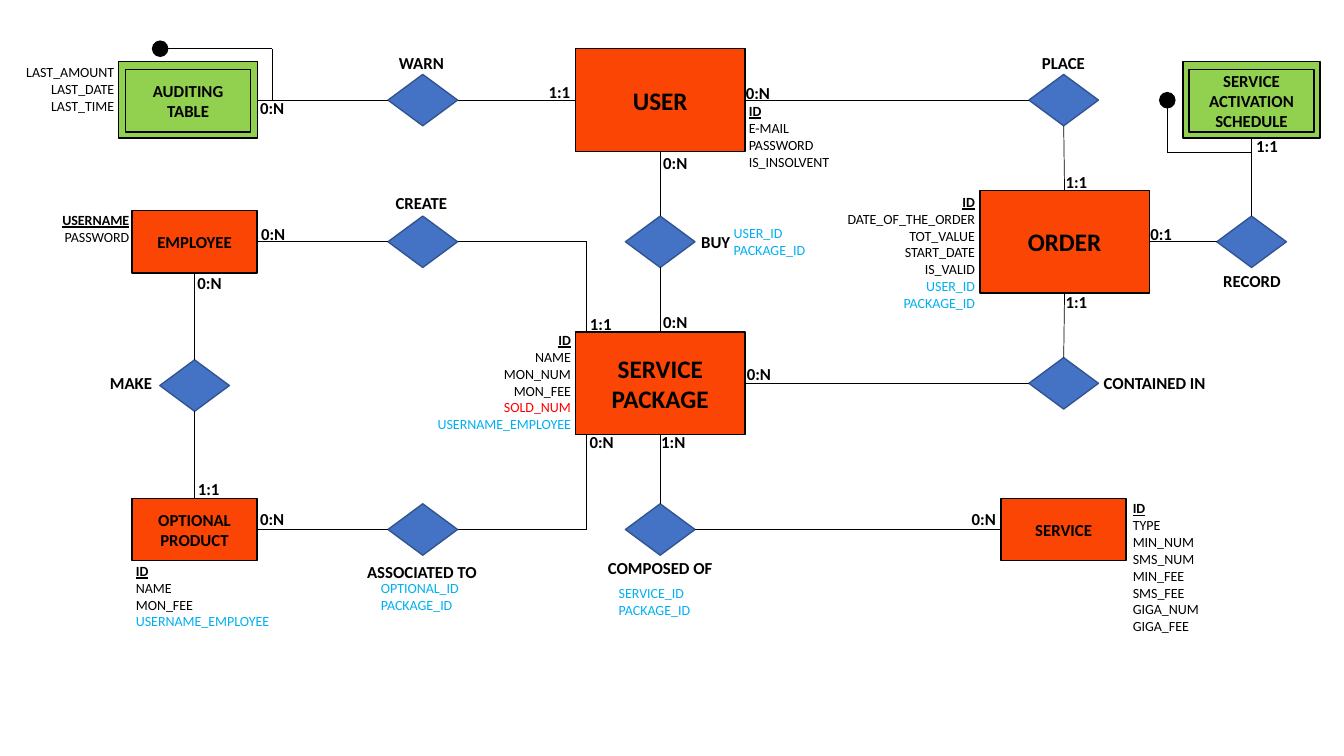
from lxml.etree import SubElement
from pptx import Presentation
from pptx.dml.color import RGBColor
from pptx.enum.shapes import MSO_CONNECTOR, MSO_SHAPE
from pptx.enum.text import MSO_ANCHOR, PP_ALIGN
from pptx.oxml.ns import qn
from pptx.util import Pt

BLACK = RGBColor(0x00, 0x00, 0x00)
ORANGE = RGBColor(0xFB, 0x45, 0x05)
GREEN = RGBColor(0x92, 0xD0, 0x50)
BLUE = RGBColor(0x44, 0x72, 0xC4)
NAVY = RGBColor(0x32, 0x54, 0x91)
CYAN = RGBColor(0x00, 0xB0, 0xF0)
RED = RGBColor(0xFF, 0x00, 0x00)

LEFT, MID, RIGHT = PP_ALIGN.LEFT, PP_ALIGN.CENTER, PP_ALIGN.RIGHT
TOP, WEST, BASE, EAST = range(4)

KEYS = {"ID", "USERNAME"}
TINTS = dict.fromkeys(
    ["USER_ID", "PACKAGE_ID", "OPTIONAL_ID", "SERVICE_ID", "USERNAME_EMPLOYEE"], CYAN)
TINTS["SOLD_NUM"] = RED

BIG, SMALL, GEM = (121, 73.5), (89.3, 44.6), (49.7, 36.7)

# Centres of the columns and rows of the diagram
COL_A, COL_B, COL_C, COL_D, COL_E = 139, 302, 471.6, 759.8, 894
ROW_A, ROW_B, ROW_C, ROW_D = 71.5, 172.7, 273.8, 378.2
BEND = 419


def write(frame, lines, size=12, bold=True, align=MID, font="Calibri"):
    """Fill a text frame, one paragraph a line."""
    frame.word_wrap = True
    for num, line in enumerate(lines):
        para = frame.add_paragraph() if num else frame.paragraphs[0]
        para.alignment = align
        run = para.add_run()
        run.text = line
        run.font.name, run.font.size = font, Pt(size)
        key = line in KEYS
        run.font.bold = bold or key
        run.font.underline = key
        run.font.color.rgb = TINTS.get(line, BLACK)


class Diagram:
    """Style and slide of the entity diagram."""

    def __init__(self, slide):
        """Keep the slide and start with no nodes."""
        self.shapes = slide.shapes
        self.nodes = {}

    def shape(self, kind, mid, size, fill, line=BLACK):
        """Draw a preset shape about its centre."""
        (x, y), (w, h) = mid, size
        item = self.shapes.add_shape(kind, Pt(x - w / 2), Pt(y - h / 2), Pt(w), Pt(h))
        item.shadow.inherit = False
        item.fill.solid()
        item.fill.fore_color.rgb = fill
        item.line.color.rgb = line
        item.line.width = Pt(1)
        return item

    def entity(self, name, mid, size=SMALL, fill=ORANGE, points=12):
        """Draw a named box."""
        item = self.shape(MSO_SHAPE.RECTANGLE, mid, size, fill)
        item.text_frame.vertical_anchor = MSO_ANCHOR.MIDDLE
        write(item.text_frame, name.split("\n"), size=points)
        self.nodes[name.replace("\n", " ")] = item

    def gem(self, name, mid):
        """Draw the diamond of a relation."""
        self.nodes[name] = self.shape(MSO_SHAPE.DIAMOND, mid, GEM, BLUE, NAVY)

    def dot(self, mid):
        """Draw a round end mark."""
        self.shape(MSO_SHAPE.OVAL, mid, (10.8, 10.8), BLACK)

    def line(self, start, end):
        """Draw a thin straight line."""
        ends = [Pt(num) for num in (*start, *end)]
        item = self.shapes.add_connector(MSO_CONNECTOR.STRAIGHT, *ends)
        item.line.color.rgb = BLACK
        item.line.width = Pt(0.5)
        SubElement(item._element.spPr, qn("a:effectLst"))
        return item

    def path_of(self, *points):
        """Draw lines through the points in turn."""
        for start, end in zip(points, points[1:]):
            self.line(start, end)

    def link(self, first, side, second, other):
        """Join two nodes at the given sides."""
        item = self.line((0, 0), (1, 1))
        item.begin_connect(self.nodes[first], side)
        item.end_connect(self.nodes[second], other)

    def text(self, lines, x, y, w, h, **style):
        """Place a text box."""
        box = self.shapes.add_textbox(Pt(x), Pt(y), Pt(w), Pt(h))
        write(box.text_frame, lines, **style)

    def label(self, words, x, y, w=44.6):
        """Place a bold label of one line."""
        self.text([words], x, y, w, 21.6)

    def fields(self, words, x, y, w=72, align=LEFT, h=None):
        """Place a list of attributes."""
        lines = words.split()
        self.text(lines, x, y, w, h or 12.2 * len(lines) + 7.2,
                  size=10, bold=False, align=align)


deck = Presentation()
deck.slide_width, deck.slide_height = Pt(960), Pt(540)
chart = Diagram(deck.slides.add_slide(deck.slide_layouts[6]))

for name, x, wide in [("AUDITING TABLE", 134.4, 99.4),
                      ("SERVICE\nACTIVATION\nSCHEDULE", COL_E, 97.9)]:
    chart.shape(MSO_SHAPE.RECTANGLE, (x, 71.4), (wide, 54.7), GREEN)
    chart.entity(name, (x, 72), fill=GREEN)

for name, x, y in [("USER", COL_C, ROW_A), ("ORDER", COL_D + 0.6, ROW_B),
                   ("SERVICE\nPACKAGE", COL_C, ROW_C)]:
    chart.entity(name, (x, y), BIG, points=18)
for name, x, y in [("EMPLOYEE", COL_A, ROW_B), ("OPTIONAL\nPRODUCT", COL_A, ROW_D),
                   ("SERVICE", COL_D, ROW_D)]:
    chart.entity(name, (x, y))

for name, x, y in [
        ("MAKE", COL_A, 275.4), ("CREATE", COL_B, ROW_B), ("WARN", COL_B, ROW_A),
        ("ASSOCIATED TO", COL_B, ROW_D), ("BUY", COL_C, ROW_B),
        ("COMPOSED OF", COL_C, ROW_D), ("PLACE", COL_D, ROW_A),
        ("CONTAINED IN", COL_D, ROW_C), ("RECORD", COL_E, ROW_B)]:
    chart.gem(name, (x, y))

for ends in [
        ("SERVICE PACKAGE", BASE, "COMPOSED OF", TOP),
        ("SERVICE", WEST, "COMPOSED OF", EAST),
        ("SERVICE PACKAGE", EAST, "CONTAINED IN", WEST),
        ("ORDER", BASE, "CONTAINED IN", TOP), ("BUY", BASE, "SERVICE PACKAGE", TOP),
        ("USER", BASE, "BUY", TOP), ("USER", EAST, "PLACE", WEST),
        ("ORDER", TOP, "PLACE", BASE), ("ORDER", EAST, "RECORD", WEST),
        ("USER", WEST, "WARN", EAST), ("EMPLOYEE", EAST, "CREATE", WEST),
        ("OPTIONAL PRODUCT", EAST, "ASSOCIATED TO", WEST),
        ("EMPLOYEE", BASE, "MAKE", TOP), ("OPTIONAL PRODUCT", TOP, "MAKE", BASE)]:
    chart.link(*ends)

gem_east = COL_B + GEM[0] / 2
chart.path_of((gem_east, ROW_B), (BEND, ROW_B), (BEND, 237))
chart.path_of((gem_east, ROW_D), (BEND, ROW_D), (BEND, 310.5))
chart.line((184.1, ROW_A), (277.2, ROW_A))
chart.line((COL_E, 98.7), (COL_E, 154.3))
chart.path_of((194.4, ROW_A), (194.4, 34.8), (119.8, 34.8))
chart.path_of((COL_E, 108.9), (833.8, 108.9), (833.8, 75))
chart.dot((114.4, 34.8))
chart.dot((833.8, 71.6))

for spot in [
        ("CREATE", 270, 134, 62), ("PLACE", 728.6, 33.8, 62), ("WARN", 270, 33.8, 62),
        ("CONTAINED IN", 780.5, 262.8, 88.6), ("COMPOSED OF", 424.8, 394.6, 93.6),
        ("BUY", 480.2, 162, 62), ("ASSOCIATED TO", 254.9, 397.4, 93),
        ("MAKE", 62.6, 262.8, 62), ("RECORD", 863.3, 190, 62),
        ("0:N", 172.1, 360), ("0:N", 127.4, 191.5), ("0:N", 407.5, 304.6),
        ("1:1", 126.7, 338.4), ("1:1", 406.8, 220.3), ("0:N", 460.1, 218.9),
        ("0:N", 460.1, 105.8), ("1:N", 458.6, 304.6), ("0:N", 680.4, 360),
        ("0:N", 519.8, 256.3), ("1:1", 746.6, 205.2), ("0:1", 807.1, 156.2),
        ("1:1", 882.7, 93.6), ("0:N", 519.1, 55.4), ("1:1", 746.6, 118.8),
        ("0:N", 172.1, 66.2), ("1:1", 377.3, 54.7), ("0:N", 172.8, 156.2)]:
    chart.label(*spot)

chart.fields("ID NAME MON_NUM MON_FEE SOLD_NUM USERNAME_EMPLOYEE",
             293.8, 233.3, 121, RIGHT)
chart.fields("ID TYPE MIN_NUM SMS_NUM MIN_FEE SMS_FEE GIGA_NUM GIGA_FEE",
             802.1, 353.5, h=140.4)
chart.fields("ID DATE_OF_THE_ORDER TOT_VALUE START_DATE IS_VALID USER_ID PACKAGE_ID",
             578.9, 134.6, 124.6, RIGHT)
chart.fields("ID NAME MON_FEE USERNAME_EMPLOYEE", 90, 398.2, 115.2)
chart.fields("USERNAME PASSWORD", 27.4, 147.6, align=RIGHT)
chart.fields("LAST_AMOUNT LAST_DATE LAST_TIME", 10.8, 41.8, 77.8, RIGHT)
chart.fields("ID E-MAIL PASSWORD IS_INSOLVENT", 527.8, 69.8, 83.5)
chart.fields("USER_ID PACKAGE_ID", 517, 157)
chart.fields("OPTIONAL_ID PACKAGE_ID", 265, 410.4)
chart.fields("SERVICE_ID PACKAGE_ID", 434.9, 414)

deck.save("out.pptx")
